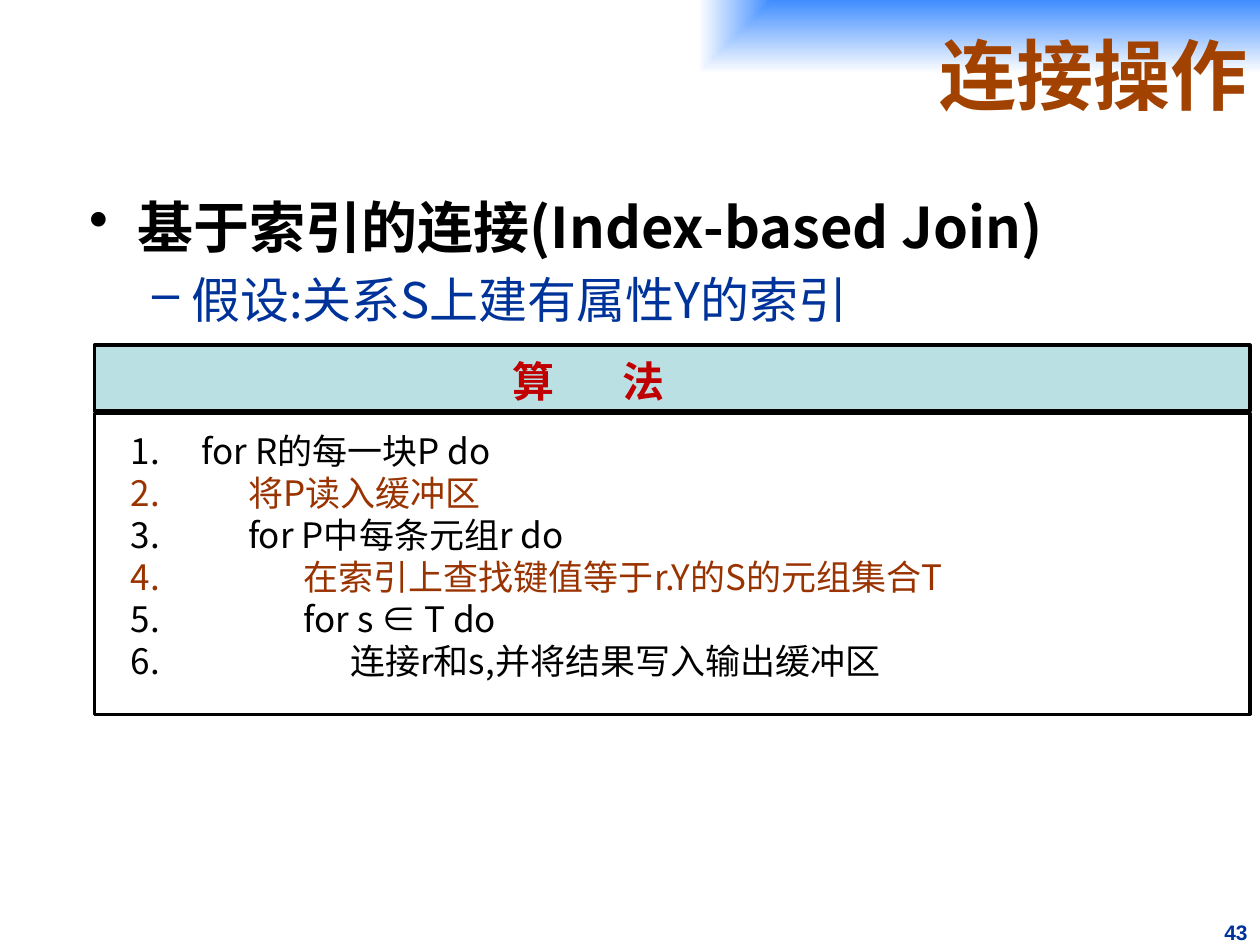
from lxml import etree
from pptx import Presentation
from pptx.dml.color import RGBColor
from pptx.enum.shapes import MSO_SHAPE as Shape
from pptx.enum.text import MSO_ANCHOR as Anchor, PP_ALIGN as Align
from pptx.oxml import parse_xml
from pptx.oxml.ns import nsdecls, qn
from pptx.util import Inches, Pt

SANS = "Noto Sans CJK JP"
TITLE = ("连接操作", 44, "A24200", True, "Noto Sans CJK SC")
POINTS = [
    ("基于索引的连接(Index-based Join)", 32, "000000", True, "•", 0.38, 0.38),
    ("假设:关系S上建有属性Y的索引", 28, "003399", False, "–", 0.81, 0.31),
]
HEADING = ("算\t法", 24, "C00000", True)
STEPS = [
    ("for R的每一块P do", 1.56, "000000"),
    ("将P读入缓冲区", 1.93, "993300"),
    ("for P中每条元组r do", 1.93, "000000"),
    ("在索引上查找键值等于r.Y的S的元组集合T", 2.37, "993300"),
    ("for s ∈ T do", 2.37, "000000"),
    ("连接r和s,并将结果写入输出缓冲区", 2.74, "000000"),
]
NUMBER_INDENT = 1.0
PAGE_NUMBER = ("43", 12, "003399", True, "Arial")
PANELS = [(2.74, 0.52, "BBE0E3"), (3.28, 2.39, None)]


def color(value):
    return RGBColor.from_string(value)


def add_box(page, left, top, width, height, anchor=Anchor.TOP):
    box = page.shapes.add_textbox(*map(Inches, (left, top, width, height)))
    box.text_frame.word_wrap = True
    box.text_frame.vertical_anchor = anchor
    return box


def write(para, text, size, ink, bold=False, face=SANS, align=Align.LEFT):
    span = para.add_run()
    span.text = text
    para.alignment = align
    font = para.font
    font.size, font.bold, font.name = Pt(size), bold, face
    font.color.rgb = color(ink)
    etree.SubElement(font._element, qn("a:ea"), typeface=face)
    props = span._r.get_or_add_rPr()
    for key, value in font._element.items():
        props.set(key, value)
    for child in font._element:
        props.append(parse_xml(etree.tostring(child)))


def set_bullet(para, margin, hang, tag, **values):
    props = para._p.get_or_add_pPr()
    props.set("marL", str(Inches(margin)))
    props.set("indent", str(-Inches(hang)))
    bullet = etree.Element(qn(tag), **values)
    props.insert_element_before(bullet, "a:tabLst", "a:defRPr")


def paragraphs(frame, rows):
    for index, row in enumerate(rows):
        yield frame.paragraphs[0] if index == 0 else frame.add_paragraph(), row


deck = Presentation()
deck.slide_width, deck.slide_height = Inches(10), Inches(7.5)
page = deck.slides.add_slide(deck.slide_layouts[6])

title = add_box(page, 1.08, 0, 8.92, 1.17, Anchor.MIDDLE)
title._element.spPr.replace(
    title._element.spPr.find(qn("a:noFill")),
    parse_xml(
        f'<a:gradFill {nsdecls("a")}><a:gsLst>'
        '<a:gs pos="0"><a:srgbClr val="3F8DFF"/></a:gs>'
        '<a:gs pos="100000"><a:srgbClr val="FFFFFF"/></a:gs></a:gsLst>'
        '<a:path path="rect"><a:fillToRect l="100000" b="100000"/></a:path>'
        "</a:gradFill>"
    ),
)
write(title.text_frame.paragraphs[0], *TITLE, align=Align.RIGHT)

body = add_box(page, 0.61, 1.48, 9, 1.38)
for para, (text, size, ink, bold, mark, margin, hang) in paragraphs(body.text_frame, POINTS):
    write(para, text, size, ink, bold)
    para.space_before = Pt(size * 0.2)
    set_bullet(para, margin, hang, "a:buChar", char=mark)

number = add_box(page, 9.58, 7.25, 0.42, 0.25)
write(number.text_frame.paragraphs[0], *PAGE_NUMBER, align=Align.RIGHT)

for top, height, fill in PANELS:
    panel = page.shapes.add_shape(Shape.RECTANGLE, *map(Inches, (0.75, top, 9.17, height)))
    panel.shadow.inherit = False
    panel.line.color.rgb = color("000000")
    panel.line.width = Pt(2)
    if fill:
        panel.fill.solid()
        panel.fill.fore_color.rgb = color(fill)
    else:
        panel.fill.background()

heading = add_box(page, 3.97, 2.77, 1.48, 0.5)
para = heading.text_frame.paragraphs[0]
write(para, *HEADING)
tabs = parse_xml(f'<a:tabLst {nsdecls("a")}><a:tab pos="{Inches(0.87)}" algn="l"/></a:tabLst>')
para._p.get_or_add_pPr().insert_element_before(tabs, "a:defRPr")

steps = add_box(page, -0.06, 3.36, 9.98, 2.46)
for para, (text, margin, ink) in paragraphs(steps.text_frame, STEPS):
    write(para, text, 20, ink)
    set_bullet(para, margin, margin - NUMBER_INDENT, "a:buAutoNum", type="arabicPeriod")

deck.save("out.pptx")
